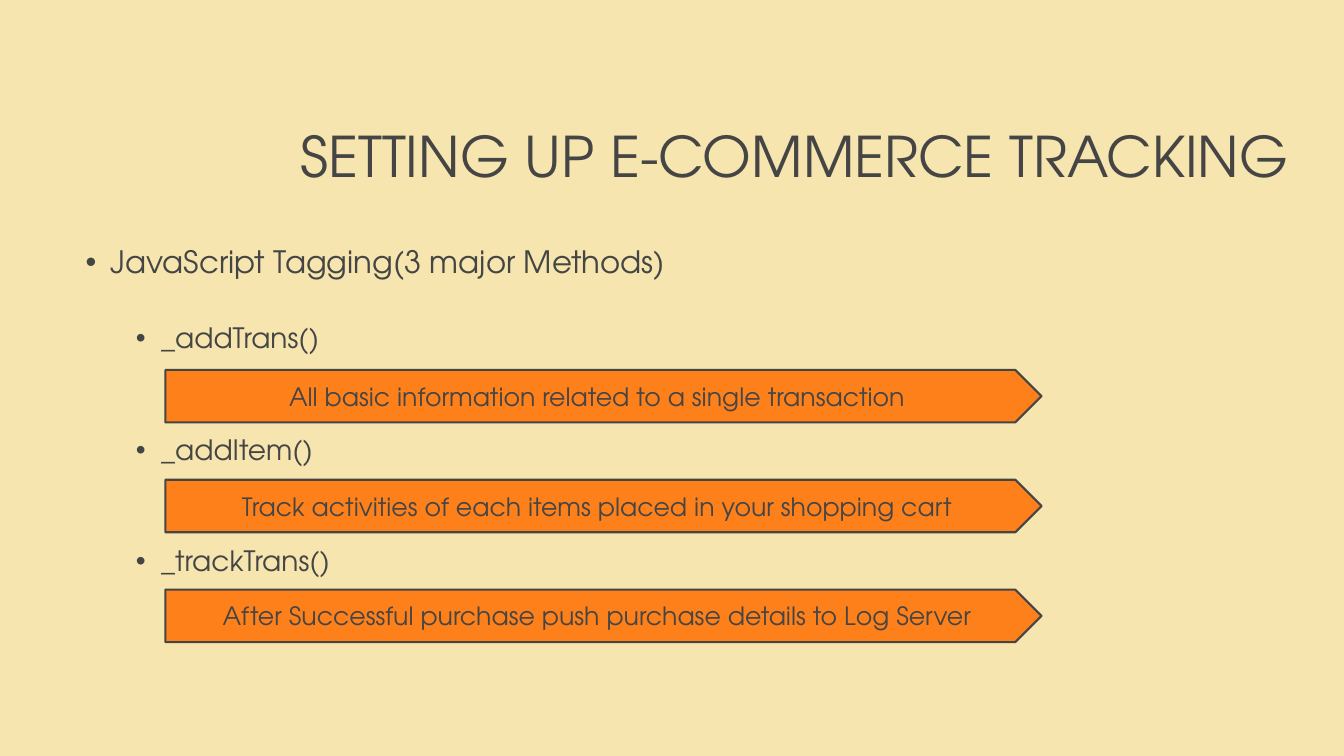
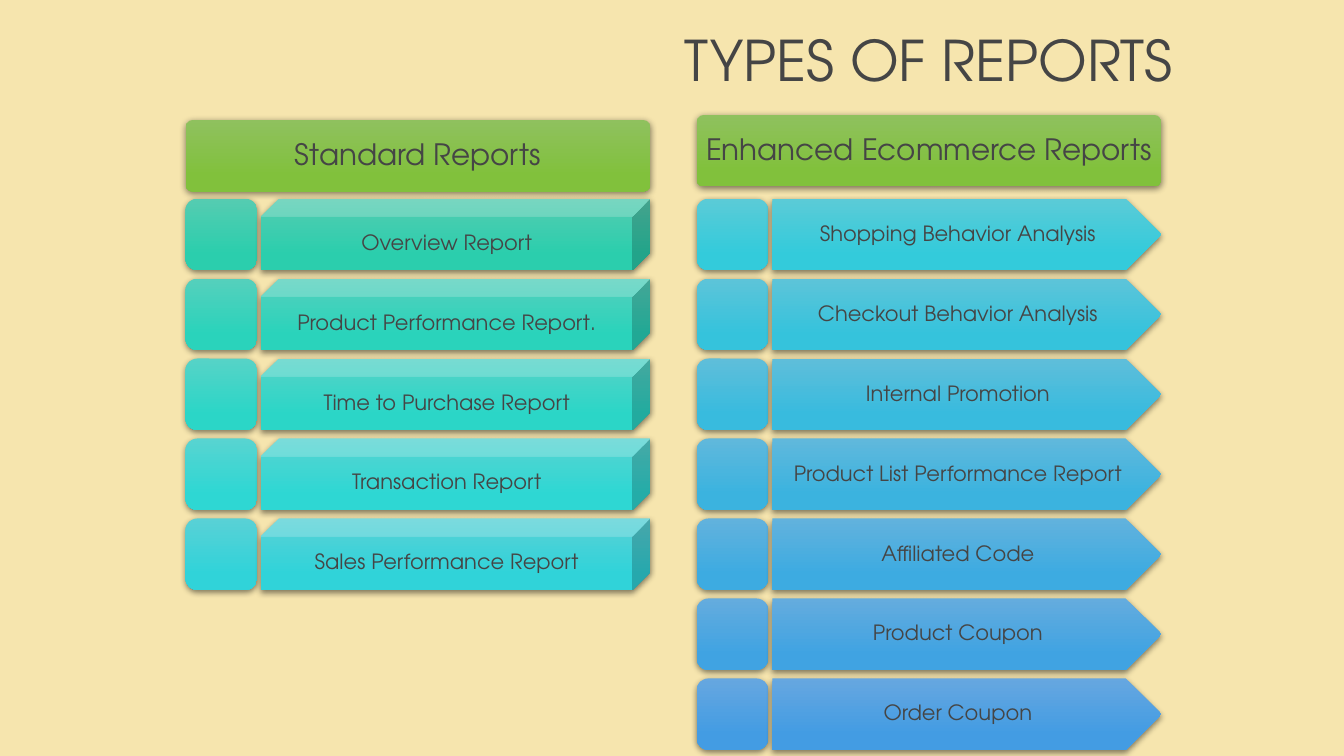
from lxml import etree
from pptx import Presentation
from pptx.dml.color import RGBColor
from pptx.enum.shapes import MSO_SHAPE
from pptx.enum.text import MSO_ANCHOR, PP_ALIGN
from pptx.oxml.ns import qn
from pptx.util import Inches, Pt

ROUND = MSO_SHAPE.ROUNDED_RECTANGLE
CUBE = MSO_SHAPE.CUBE
ARROW = MSO_SHAPE.PENTAGON
MIDDLE = MSO_ANCHOR.MIDDLE
LEFT, CENTER, RIGHT = PP_ALIGN.LEFT, PP_ALIGN.CENTER, PP_ALIGN.RIGHT

FONT = "TeX Gyre Adventor"
COLORS = {"back": "F6E5AE", "ink": "454545", "orange": "FE801A", "shade": "000000"}
LIME = ("8FC15E", "81C13C")

# Report grid, in inches
SIDE = 0.71
WIDTH = 4.61
INDENT = 0.75
ROW_TOP = 1.97
PITCH = 4.76 / 6

METHODS = [
    ("_addTrans()", "All basic information related to a single transaction"),
    ("_addItem()", "Track activities of each items placed in your shopping cart"),
    ("_trackTrans()", "After Successful purchase push purchase details to Log Server"),
]
STANDARD = [
    ("Overview Report", ("55CCB1", "2BCEAD")),
    ("Product Performance Report.", ("55D0BC", "2AD3BB")),
    ("Time to Purchase Report", ("56D3C7", "2BD6C7")),
    ("Transaction Report", ("58D4D1", "2ED7D3")),
    ("Sales Performance Report", ("59D1D6", "30D3D9")),
]
ENHANCED = [
    ("Shopping Behavior Analysis", ("5BCBD7", "33CBDB")),
    ("Checkout Behavior Analysis", ("5DC4D9", "35C3DC")),
    ("Internal Promotion", ("5FBEDA", "38BBDE")),
    ("Product List Performance Report", ("60B8DC", "3BB3DF")),
    ("Affiliated Code", ("62B2DD", "3DABE1")),
    ("Product Coupon", ("64ACDE", "40A3E2")),
    ("Order Coupon", ("66A7E0", "439CE3")),
]


def rgb(name):
    return RGBColor.from_string(COLORS[name])


def inches(box):
    return [Inches(n) for n in box]


def write(para, text, size, align, spacing=0.9):
    para.alignment = align
    para.line_spacing = spacing
    run = para.add_run()
    run.text = text
    run.font.size = Pt(size)
    run.font.name = FONT
    run.font.color.rgb = rgb("ink")


def add_bullet(para, left):
    props = para._p.get_or_add_pPr()
    props.set("marL", str(Inches(left)))
    props.set("indent", str(Inches(-0.25)))
    etree.SubElement(props, qn("a:buFont")).set("typeface", "Arial")
    etree.SubElement(props, qn("a:buChar")).set("char", "•")


def add_text(slide, box):
    frame = slide.shapes.add_textbox(*inches(box)).text_frame
    frame.word_wrap = True
    return frame


def add_slide(deck, title, box):
    slide = deck.slides.add_slide(deck.slide_layouts[6])
    fill = slide.background.fill
    fill.solid()
    fill.fore_color.rgb = rgb("back")
    frame = add_text(slide, box)
    frame.vertical_anchor = MIDDLE
    write(frame.paragraphs[0], title, 40, RIGHT)
    return slide


def add_shape(slide, kind, box):
    shape = slide.shapes.add_shape(kind, *inches(box))
    shape.shadow.inherit = False
    shape.text_frame.word_wrap = True
    shape.text_frame.vertical_anchor = MIDDLE
    return shape


def add_shadow(shape):
    effects = shape._element.spPr.find(qn("a:effectLst"))
    outer = etree.SubElement(effects, qn("a:outerShdw"), blurRad=str(Pt(4.5)),
                             dist=str(Pt(1.5)), dir="5400000", rotWithShape="0")
    color = etree.SubElement(outer, qn("a:srgbClr"), val=COLORS["shade"])
    etree.SubElement(color, qn("a:alpha"), val="48000")


def add_tile(slide, kind, box, tones):
    """Add a borderless shape with a vertical gradient and a soft shadow."""
    tile = add_shape(slide, kind, box)
    tile.line.fill.background()
    tile.fill.gradient()
    tile.fill.gradient_angle = 270
    for stop, tone, place in zip(tile.fill.gradient_stops, tones, (0, 0.78)):
        stop.color.rgb = RGBColor.from_string(tone)
        stop.position = place
    add_shadow(tile)
    return tile


def label(tile, text, size, pad):
    frame = tile.text_frame
    frame.margin_left = frame.margin_right = Inches(pad)
    frame.margin_top = frame.margin_bottom = Inches(pad)
    para = frame.paragraphs[0]
    write(para, text, size, CENTER)
    para.space_after = Pt(round(size * 0.35, 1))


def add_column(slide, left, top, head, kind, rows):
    """Add a header, then rows of a square beside a labelled shape."""
    tile = add_tile(slide, ROUND, (left, top, WIDTH, SIDE), LIME)
    tile.adjustments[0] = 0.1
    label(tile, head, 21, 0.04)
    for i, (text, tones) in enumerate(rows):
        y = ROW_TOP + i * PITCH
        add_tile(slide, ROUND, (left, y, SIDE, SIDE), tones)
        bar = add_tile(slide, kind, (left + INDENT, y, WIDTH - INDENT, SIDE), tones)
        label(bar, text, 15, 0.12)


def add_list(slide, box):
    """Add the bullets, spaced so that each method leaves room for its arrow."""
    frame = add_text(slide, box)
    lines = [("JavaScript Tagging(3 major Methods)", 22, 0.25, 10)]
    for (name, _), gap in zip(METHODS, (31.6, 58.2, 58.2)):
        lines.append((name, 20, 0.75, gap))
    for i, (text, size, left, gap) in enumerate(lines):
        para = frame.add_paragraph() if i else frame.paragraphs[0]
        write(para, text, size, LEFT)
        para.space_before = Pt(gap)
        add_bullet(para, left)


def add_arrows(slide, left, top):
    for i, (_, text) in enumerate(METHODS):
        arrow = add_shape(slide, ARROW, (left, top + i * 1.09, 8.69, 0.52))
        arrow.fill.solid()
        arrow.fill.fore_color.rgb = rgb("orange")
        arrow.line.color.rgb = rgb("ink")
        arrow.line.width = Pt(1.5)
        write(arrow.text_frame.paragraphs[0], text, 18, CENTER, 1.0)


def add_setup(deck):
    slide = add_slide(deck, "SETTING UP E-COMMERCE TRACKING", (2.29, 0.88, 10.59, 1.41))
    add_list(slide, (0.75, 2.4, 11.83, 4.4))
    add_arrows(slide, 1.64, 3.67)


def add_reports(deck):
    slide = add_slide(deck, "TYPES OF REPORTS", (0.23, 0.14, 11.5, 0.97))
    add_column(slide, 1.84, 1.19, "Standard Reports", CUBE, STANDARD)
    add_column(slide, 6.91, 1.14, "Enhanced Ecommerce Reports", ARROW, ENHANCED)


def main():
    deck = Presentation()
    deck.slide_width = Inches(13.33)
    deck.slide_height = Inches(7.5)
    add_setup(deck)
    add_reports(deck)
    deck.save("out.pptx")


if __name__ == "__main__":
    main()
